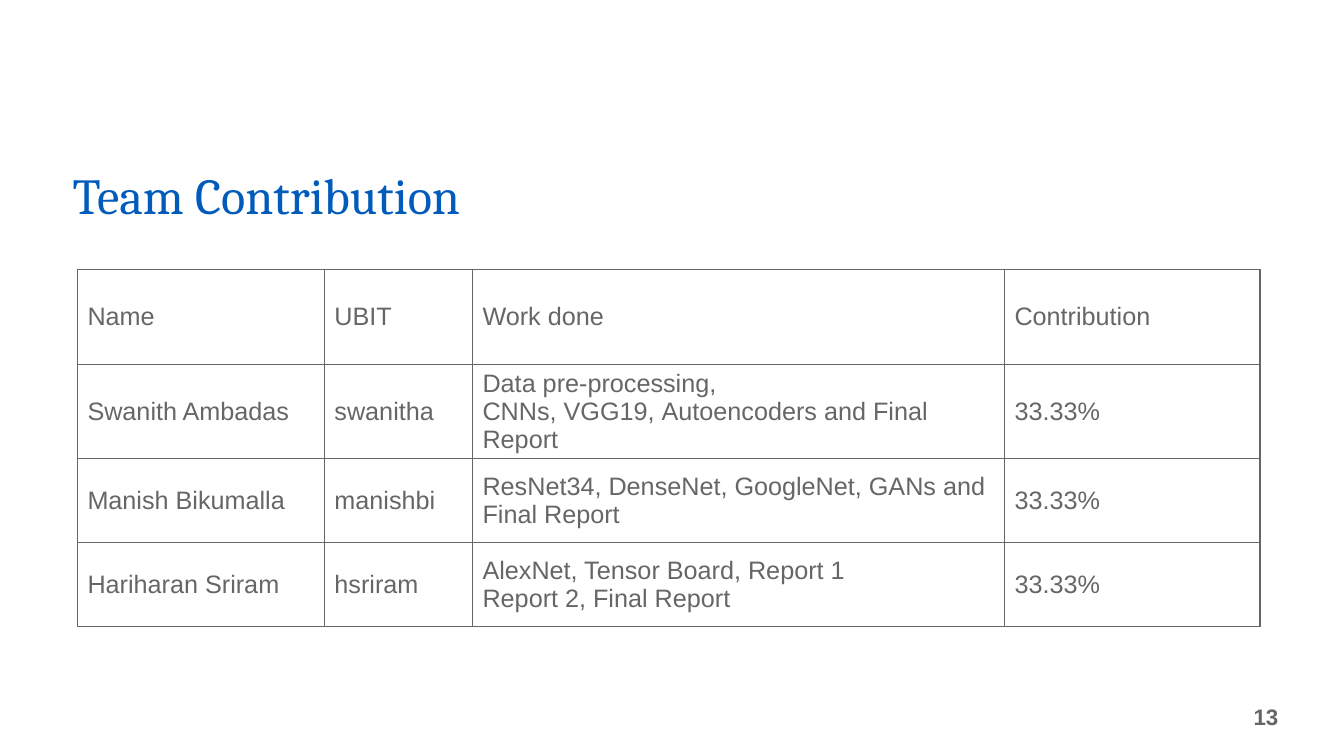
from lxml.etree import SubElement
from pptx import Presentation
from pptx.dml.color import RGBColor
from pptx.enum.text import MSO_ANCHOR as Anchor, MSO_AUTO_SIZE as AutoSize, PP_ALIGN as Align
from pptx.oxml.ns import qn
from pptx.util import Pt

BLUE, GRAY = "005BBB", "666666"
HARD_SPACE = chr(160)
COLUMN_WIDTHS = [176.4, 105.8, 380, 182.6]
ROW_HEIGHTS = [67.7, 60, 60, 60]
CONTRIBUTIONS = [
    ["Name", "UBIT", "Work done", "Contribution"],
    ["Swanith Ambadas", "swanitha",
     "Data pre-processing, CNNs,~VGG19,~Autoencoders and Final Report", "33.33%"],
    ["Manish Bikumalla", "manishbi",
     "ResNet34,~DenseNet,~GoogleNet, GANs and Final Report", "33.33%"],
    ["Hariharan~Sriram", "hsriram",
     "AlexNet, Tensor Board, Report 1 Report~2,~Final Report", "33.33%"],
]


def color(value):
    return RGBColor.from_string(value)


def style(para, name, size, value, bold=False):
    font = para.font
    font.name, font.size, font.bold = name, Pt(size), bold
    font.color.rgb = color(value)


def add_title(page, left, top, width, height):
    title = page.shapes.title
    title.left, title.top, title.width, title.height = map(Pt, (left, top, width, height))
    frame = title.text_frame
    frame.text = "Team Contribution"
    frame.auto_size = AutoSize.NONE
    frame.vertical_anchor = Anchor.BOTTOM
    para = frame.paragraphs[0]
    para.alignment = Align.LEFT
    para.line_spacing = 0.9
    style(para, "Cambria", 36, BLUE)


def add_page_number(page, left, top, width, height):
    box = page.shapes.add_textbox(*map(Pt, (left, top, width, height)))
    frame = box.text_frame
    frame.word_wrap = True
    frame.vertical_anchor = Anchor.MIDDLE
    frame.text = "13"
    para = frame.paragraphs[0]
    para.alignment = Align.RIGHT
    style(para, "Arial", 16, GRAY, bold=True)


def add_borders(cell):
    properties = cell._tc.get_or_add_tcPr()
    for index, side in enumerate(("a:lnL", "a:lnR", "a:lnT", "a:lnB")):
        line = SubElement(properties, qn(side), w=str(Pt(1)))
        fill = SubElement(line, qn("a:solidFill"))
        SubElement(fill, qn("a:srgbClr"), val=GRAY)
        properties.insert(index, line)


def add_contributions(page, left, top):
    frame = page.shapes.add_table(
        len(ROW_HEIGHTS), len(COLUMN_WIDTHS), Pt(left), Pt(top),
        Pt(sum(COLUMN_WIDTHS)), Pt(sum(ROW_HEIGHTS)))
    table = frame.table
    table.first_row = table.horz_banding = False
    for column, width in zip(table.columns, COLUMN_WIDTHS):
        column.width = Pt(width)
    for row, height, texts in zip(table.rows, ROW_HEIGHTS, CONTRIBUTIONS):
        row.height = Pt(height)
        for cell, text in zip(row.cells, texts):
            cell.text = text.replace("~", HARD_SPACE)
            cell.vertical_anchor = Anchor.MIDDLE
            cell.fill.background()
            add_borders(cell)
            style(cell.text_frame.paragraphs[0], "Arial", 18, GRAY)


def main():
    deck = Presentation()
    deck.slide_width, deck.slide_height = Pt(960), Pt(540)
    page = deck.slides.add_slide(deck.slide_layouts[5])
    add_title(page, 44.6, 118, 828, 46.8)
    add_contributions(page, 55.3, 192.4)
    add_page_number(page, 596.2, 497.5, 324, 28.8)
    deck.save("out.pptx")


if __name__ == "__main__":
    main()
